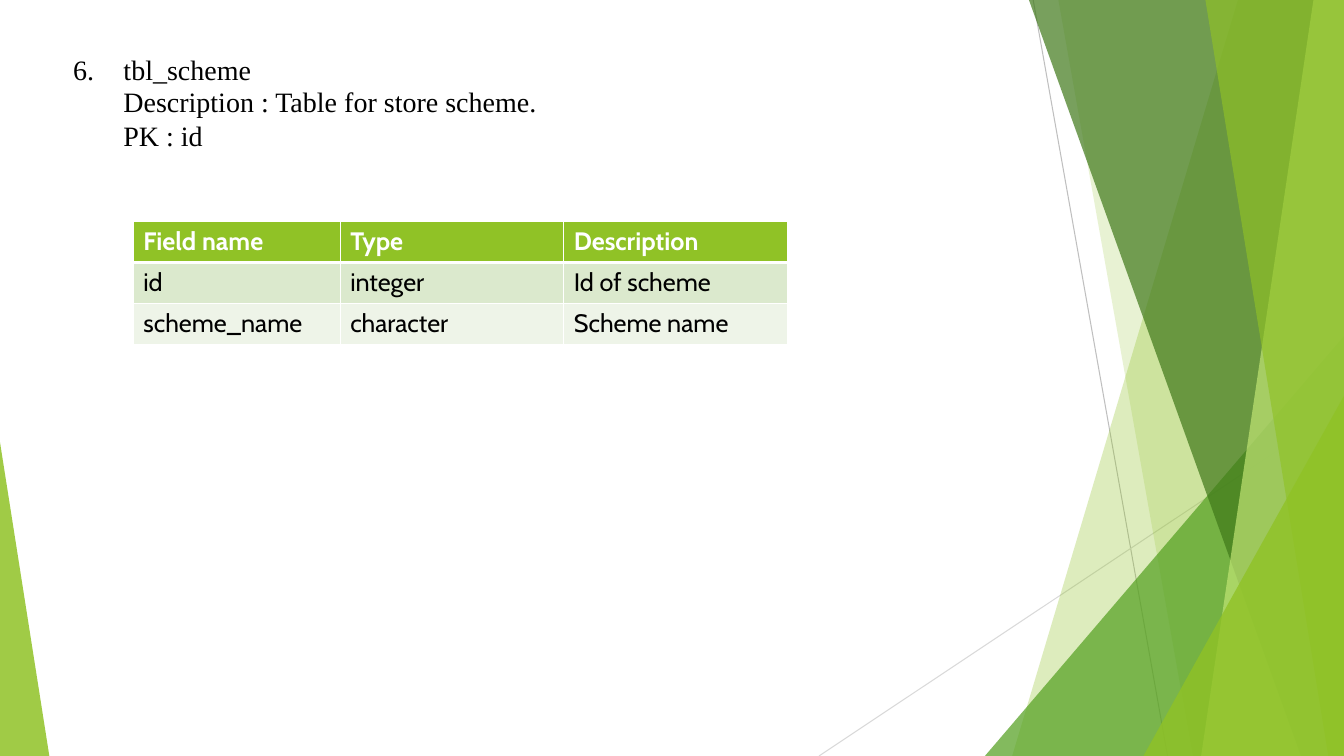
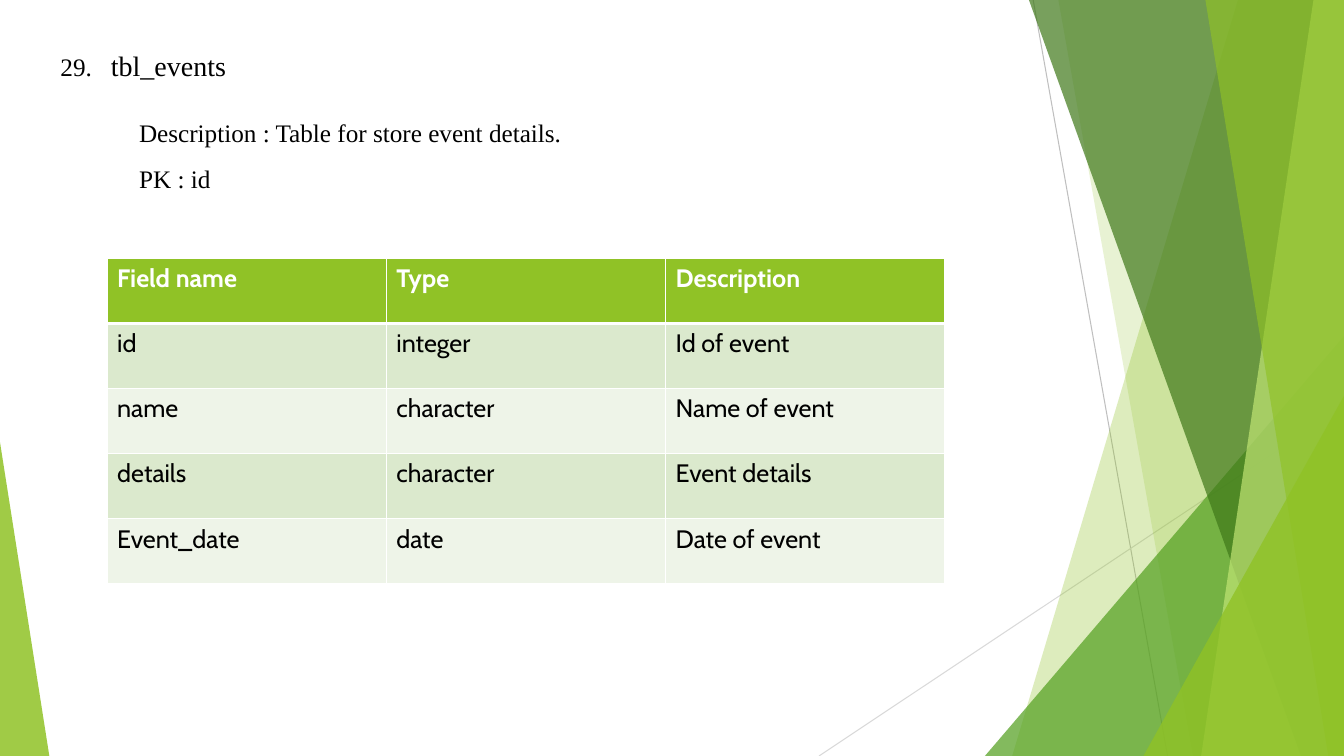
from lxml import etree
from pptx import Presentation
from pptx.dml.color import RGBColor
from pptx.enum.shapes import MSO_CONNECTOR, MSO_SHAPE
from pptx.enum.text import MSO_ANCHOR, MSO_AUTO_SIZE, PP_ALIGN
from pptx.oxml.ns import qn
from pptx.util import Emu, Pt

STRAIGHT = MSO_CONNECTOR.STRAIGHT
TRIANGLE = MSO_SHAPE.ISOSCELES_TRIANGLE
TOP, LEFT = MSO_ANCHOR.TOP, PP_ALIGN.LEFT
NO_FIT = MSO_AUTO_SIZE.NONE

PX = 9525
SLIDE_W, SLIDE_H = 1280, 720
TAB = 48
TITLE_ONLY = 5
SERIF, SANS = "Times New Roman", "Cabin"

COLORS = {
    "lime": "90C226",
    "pale_lime": "C0E474",
    "green": "54A021",
    "dark_green": "3F7819",
    "band_dark": "DBE9CD",
    "band_light": "EEF4E8",
    "line_dark": "BFBFBF",
    "line_light": "D9D9D9",
    "white": "FFFFFF",
    "black": "000000",
}
FRAME_FORMAT = {"word_wrap": True, "vertical_anchor": TOP, "auto_size": NO_FIT}
HEADERS = ("Field name", "Type", "Description")


def px(*lengths):
    """Turn px lengths into EMU."""
    return [Emu(length * PX) for length in lengths]


def rgb(name):
    """Look up a palette colour."""
    return RGBColor.from_string(COLORS[name])


def apply_format(target, values):
    """Set attributes from a dict of format values."""
    for name, value in values.items():
        setattr(target, name, value)


def set_font(font, face, size, color="black", bold=False):
    """Format a font."""
    apply_format(font, {"name": face, "size": Pt(size), "bold": bold})
    font.color.rgb = rgb(color)


def paint(shape, color, opacity):
    """Give a shape a translucent fill without outline or shadow."""
    shape.shadow.inherit = False
    shape.line.fill.background()
    shape.fill.solid()
    shape.fill.fore_color.rgb = rgb(color)
    fill_color = shape.element.spPr.find(".//" + qn("a:srgbClr"))
    etree.SubElement(fill_color, qn("a:alpha"), val=str(opacity * 1000))


def add_ray(shapes, start, end, color):
    """Draw a thin straight line."""
    ray = shapes.add_connector(STRAIGHT, *px(*start, *end))
    ray.line.color.rgb = rgb(color)
    ray.line.width = Pt(0.75)
    etree.SubElement(ray.element.spPr, qn("a:effectLst"))


def add_panel(shapes, top_x, bottom_x, color, opacity):
    """Draw a full-height panel with a slanted left edge."""
    outline = shapes.build_freeform(top_x, 0, scale=PX)
    outline.add_line_segments([(SLIDE_W, 0), (SLIDE_W, SLIDE_H), (bottom_x, SLIDE_H)])
    paint(outline.convert_to_shape(), color, opacity)


def add_wedge(shapes, left, width, height, apex, color, opacity):
    """Draw a triangle standing on the bottom edge."""
    wedge = shapes.add_shape(TRIANGLE, *px(left, SLIDE_H - height, width, height))
    wedge.adjustments[0] = apex
    paint(wedge, color, opacity)


def add_backdrop(layout, slide):
    """Build the facets as one group and place it on the layout."""
    for placeholder in list(layout.placeholders)[1:]:
        layout.shapes.element.remove(placeholder.element)
    backdrop = slide.shapes.add_group_shape()
    facets = backdrop.shapes
    add_ray(facets, (984, 0), (1112, SLIDE_H), "line_dark")
    add_ray(facets, (SLIDE_W, 387), (780, SLIDE_H), "line_light")
    add_panel(facets, 1179, 964, "lime", 30)
    add_panel(facets, 1008, 1136, "lime", 20)
    add_wedge(facets, 938, 342, 400, 1, "green", 72)
    add_panel(facets, 980, 1239, "dark_green", 70)
    add_panel(facets, 1251, 1144, "pale_lime", 70)
    add_panel(facets, 1148, 1265, "lime", 65)
    add_wedge(facets, 1089, 191, 343, 1, "lime", 80)
    add_wedge(facets, 0, 47, 299, 0, "lime", 85)
    layout.shapes.element.insert(2, backdrop.element)


def set_title(slide, left, top, number, name, number_size):
    """Place the numbered table name in the title placeholder."""
    title = slide.shapes.title
    box = dict(zip(("left", "top", "width", "height"), px(left, top, 630, 42)))
    apply_format(title, box)
    apply_format(title.text_frame, FRAME_FORMAT)
    heading = title.text_frame.paragraphs[0]
    heading.alignment = LEFT
    tabs = etree.SubElement(heading._p.get_or_add_pPr(), qn("a:tabLst"))
    etree.SubElement(tabs, qn("a:tab"), pos=str(TAB * PX), algn="l")
    for text, size in ((f"{number}.\t", number_size), (name, 20)):
        run = heading.add_run()
        run.text = text
        set_font(run.font, SERIF, size)


def add_details(slide, box, lines, size, spacing):
    """Add the description and key lines below the title."""
    frame = slide.shapes.add_textbox(*px(*box)).text_frame
    apply_format(frame, FRAME_FORMAT)
    frame.text = "\n".join(lines)
    for paragraph in frame.paragraphs:
        paragraph.line_spacing = spacing
        set_font(paragraph.font, SERIF, size)


def set_borders(cell, top, bottom):
    """Draw white cell borders, with the given top and bottom widths."""
    widths = {"lnL": 1, "lnR": 1, "lnT": top, "lnB": bottom}
    properties = cell._tc.get_or_add_tcPr()
    for position, (side, width) in enumerate(widths.items()):
        border = etree.Element(qn(f"a:{side}"), w=str(Pt(width)))
        fill = etree.SubElement(border, qn("a:solidFill"))
        etree.SubElement(fill, qn("a:srgbClr"), val=COLORS["white"])
        properties.insert(position, border)


def add_field_table(slide, left, top, widths, row_height, fields):
    """Add the table of fields under a header row."""
    rows = [HEADERS, *fields]
    box = px(left, top, sum(widths), row_height * len(rows))
    table = slide.shapes.add_table(len(rows), len(widths), *box).table
    for column, width in zip(table.columns, widths):
        column.width = Emu(width * PX)
    for r, values in enumerate(rows):
        table.rows[r].height = Emu(row_height * PX)
        header = r == 0
        band = "lime" if header else ("band_light", "band_dark")[r % 2]
        for c, value in enumerate(values):
            cell = table.cell(r, c)
            cell.text = value
            set_font(cell.text_frame.paragraphs[0].runs[0].font, SANS, 18,
                     "white" if header else "black", header)
            set_borders(cell, 3 if r == 1 else 1, 3 if header else 1)
            cell.fill.solid()
            cell.fill.fore_color.rgb = rgb(band)


def main():
    """Build the slides and save them."""
    deck = Presentation()
    deck.slide_width, deck.slide_height = px(SLIDE_W, SLIDE_H)
    layout = deck.slide_layouts[TITLE_ONLY]

    scheme = deck.slides.add_slide(layout)
    add_backdrop(layout, scheme)
    set_title(scheme, 60, 45, 6, "tbl_scheme", 20)
    add_details(scheme, (108, 76, 582, 72),
                ("Description : Table for store scheme.", "PK : id"), 20, 1.0)
    add_field_table(scheme, 127, 211, (197, 213, 213), 39, [
        ("id", "integer", "Id of scheme"),
        ("scheme_name", "character", "Scheme name"),
    ])

    events = deck.slides.add_slide(layout)
    set_title(events, 48, 41, 29, "tbl_events", 18)
    add_details(events, (123, 93, 592, 92),
                ("Description : Table for store event details.", "PK : id"), 18, 1.5)
    add_field_table(events, 102, 246, (266, 266, 266), 62, [
        ("id", "integer", "Id of event"),
        ("name", "character", "Name of event"),
        ("details", "character", "Event details"),
        ("Event_date", "date", "Date of event"),
    ])

    deck.save("out.pptx")


if __name__ == "__main__":
    main()
